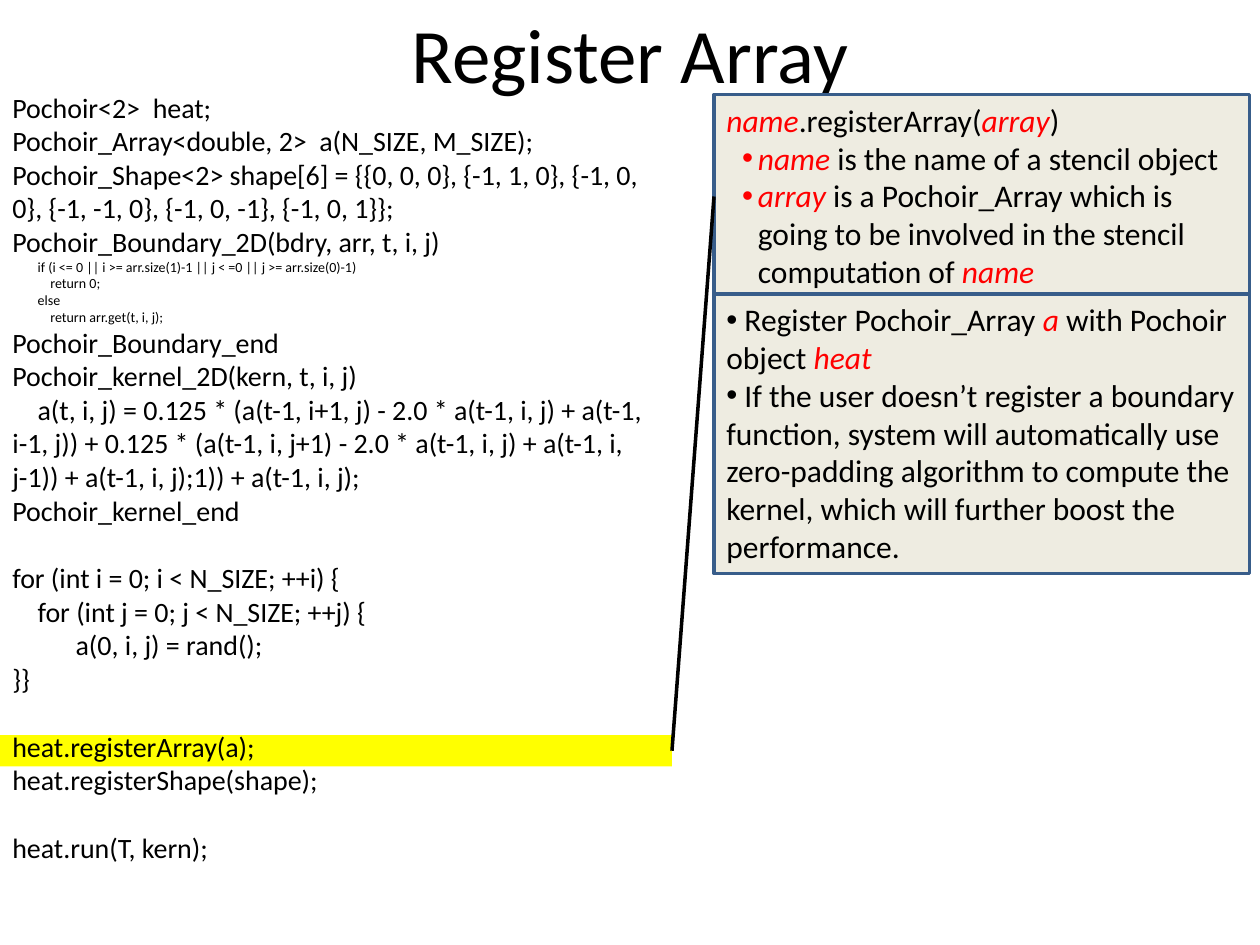
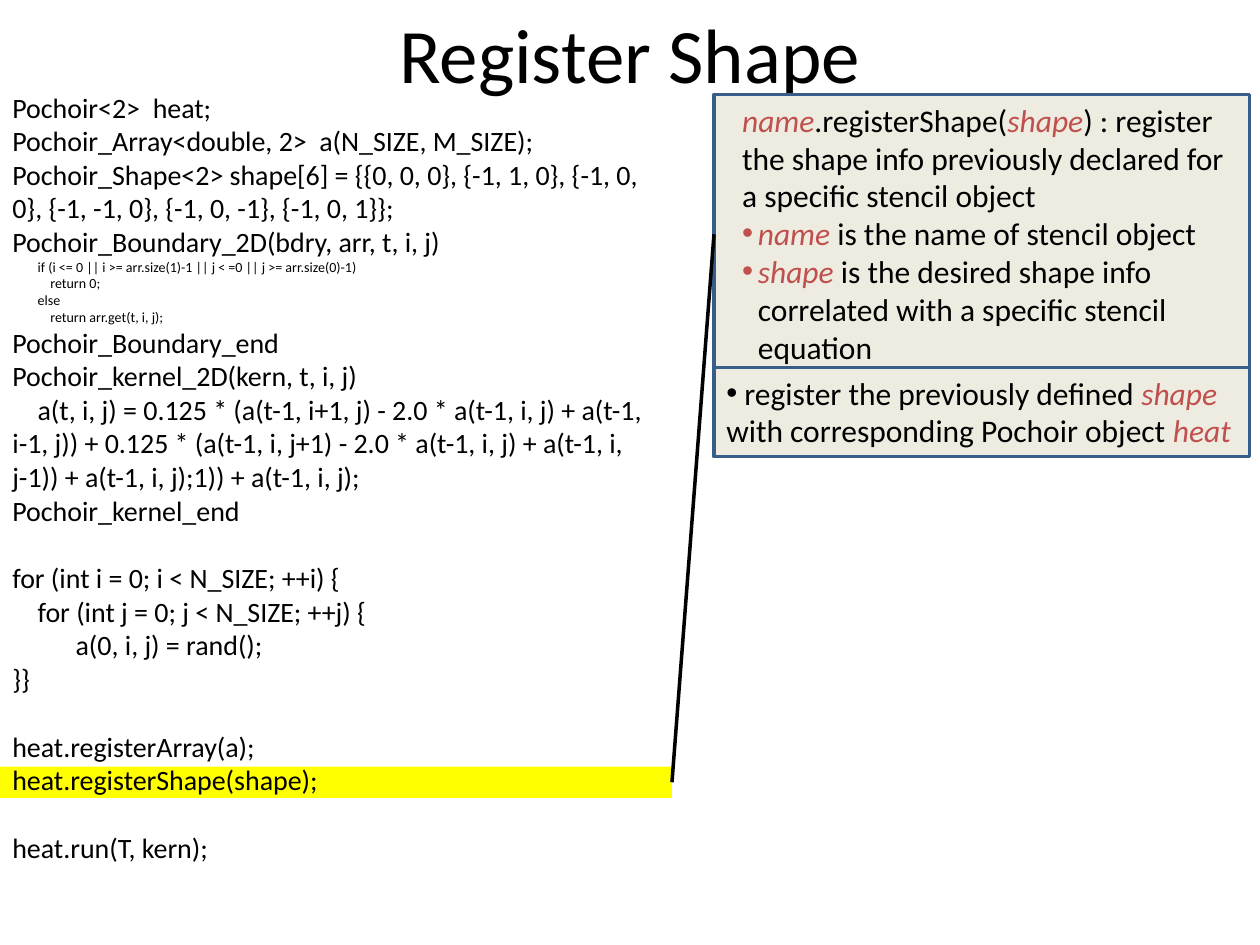
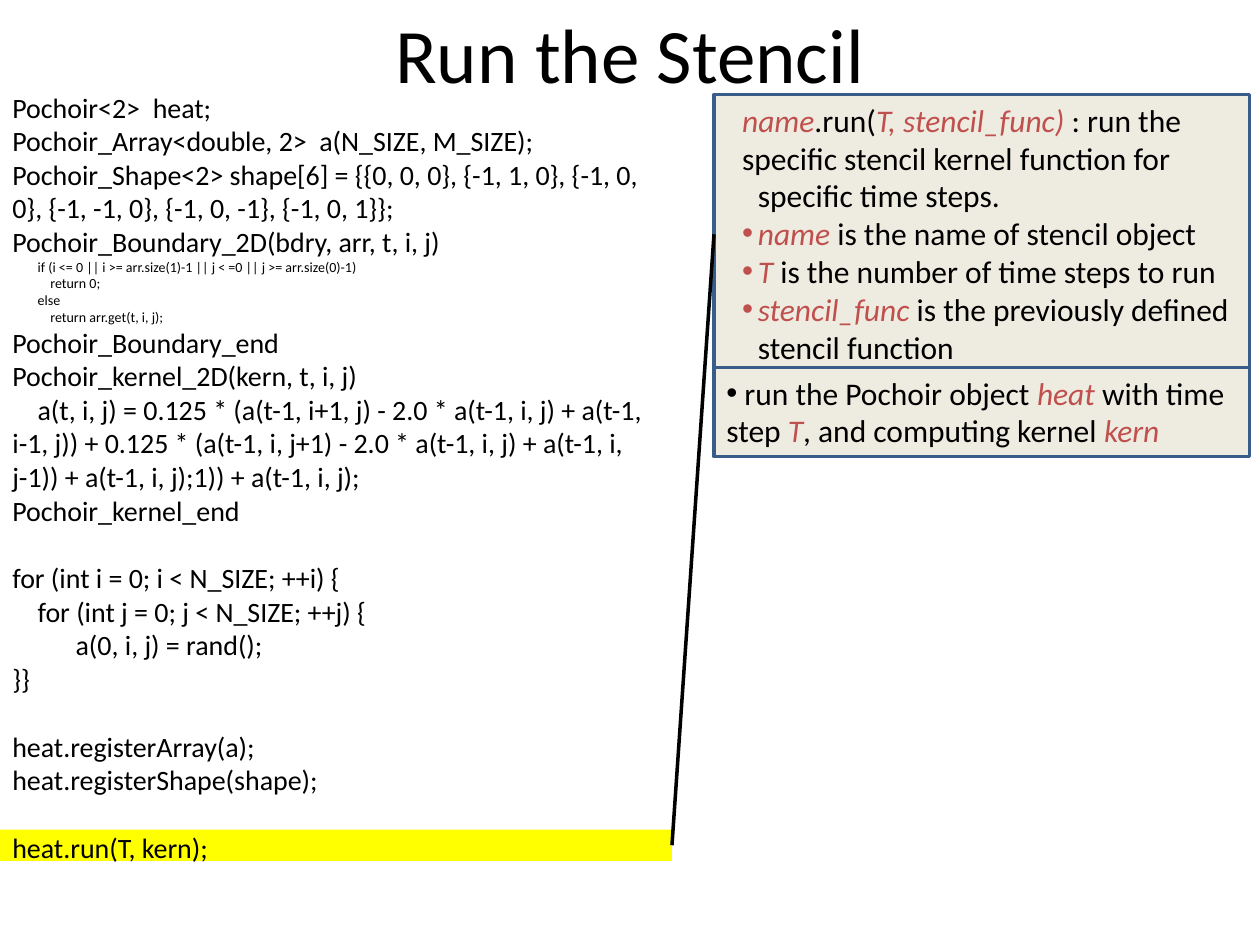
from lxml.etree import SubElement
from pptx import Presentation
from pptx.dml.color import RGBColor
from pptx.enum.shapes import MSO_CONNECTOR, MSO_SHAPE
from pptx.enum.text import MSO_ANCHOR, MSO_AUTO_SIZE, PP_ALIGN
from pptx.oxml.ns import qn
from pptx.util import Pt

FONT = "Calibri"
BLACK, RED, BRICK = "000000", "FF0000", "C0504D"
YELLOW, CREAM, NAVY = "FFFF00", "EEECE1", "385D8A"

CODE_SIZE, SMALL_SIZE, NOTE_SIZE, TITLE_SIZE = 16, 8, 18, 44
SPACE_WIDTH = 0.226  # width of a Calibri space, in ems
CODE_LINE = 19.5
BAND_WIDTH, BAND_HEIGHT = 384, 18
FIRST_CALL_TOP = 420
NOTE_LEFT, NOTE_TOP, NOTE_WIDTH = 408, 54, 306

# Left margin and first-line indent of each note style, its level and bullet
NOTE_STYLES = {
    "plain": (0, 0, 0, False),
    "hanging": (18, -9, 1, False),
    "subpoint": (18, -9, 1, True),
    "point": (0, 0, 0, True),
}

# Text, font size, indent in spaces, blank lines above
CODE = [
    ("Pochoir<2>  heat;", CODE_SIZE, 0, 0),
    ("Pochoir_Array<double, 2>  a(N_SIZE, M_SIZE);", CODE_SIZE, 0, 0),
    ("Pochoir_Shape<2> shape[6] = {{0, 0, 0}, {-1, 1, 0}, {-1, 0, 0}, "
     "{-1, -1, 0}, {-1, 0, -1}, {-1, 0, 1}};", CODE_SIZE, 0, 0),
    ("Pochoir_Boundary_2D(bdry, arr, t, i, j)", CODE_SIZE, 0, 0),
    ("if (i <= 0 || i >= arr.size(1)-1 || j < =0 || j >= arr.size(0)-1)", SMALL_SIZE, 8, 0),
    ("return 0;", SMALL_SIZE, 12, 0),
    ("else", SMALL_SIZE, 8, 0),
    ("return arr.get(t, i, j);", SMALL_SIZE, 12, 0),
    ("Pochoir_Boundary_end", CODE_SIZE, 0, 0),
    ("Pochoir_kernel_2D(kern, t, i, j)", CODE_SIZE, 0, 0),
    ("a(t, i, j) = 0.125 * (a(t-1, i+1, j) - 2.0 * a(t-1, i, j) + a(t-1, i-1, j)) "
     "+ 0.125 * (a(t-1, i, j+1) - 2.0 * a(t-1, i, j) + a(t-1, i, j-1)) "
     "+ a(t-1, i, j);1)) + a(t-1, i, j);", CODE_SIZE, 4, 0),
    ("Pochoir_kernel_end", CODE_SIZE, 0, 0),
    ("for (int i = 0; i < N_SIZE; ++i) {", CODE_SIZE, 0, 1),
    ("for (int j = 0; j < N_SIZE; ++j) {", CODE_SIZE, 4, 0),
    ("a(0, i, j) = rand();", CODE_SIZE, 10, 0),
    ("}}", CODE_SIZE, 0, 0),
    ("heat.registerArray(a);", CODE_SIZE, 0, 1),
    ("heat.registerShape(shape);", CODE_SIZE, 0, 0),
    ("heat.run(T, kern);", CODE_SIZE, 0, 1),
]

# Asterisks enclose the accented words of a note
SLIDES = [
    {
        "title": "Register Array", "call_line": 0, "accent": RED,
        "syntax_height": 116.6, "usage_top": 168, "usage_height": 159.8,
        "syntax": [
            ("plain", "*name*.registerArray(*array*)"),
            ("subpoint", "*name *is the name of a stencil object"),
            ("subpoint", "*array *is a Pochoir_Array which is going to be involved "
                         "in the stencil computation of *name*"),
        ],
        "usage": [
            ("point", " Register Pochoir_Array *a* with Pochoir object *heat*"),
            ("point", " If the user doesn’t register a boundary function, system will "
                      "automatically use zero-padding algorithm to compute the kernel, "
                      "which will further boost the performance."),
        ],
    },
    {
        "title": "Register Shape", "call_line": 1, "accent": BRICK,
        "syntax_height": 159.8, "usage_top": 210, "usage_height": 51,
        "syntax": [
            ("hanging", "*name*.registerShape(*shape*) : register"),
            ("hanging", "the shape info previously declared for"),
            ("hanging", "a specific stencil object"),
            ("subpoint", "*name* is the name of stencil object"),
            ("subpoint", "*shape* is the desired shape info correlated with "
                         "a specific stencil equation"),
        ],
        "usage": [
            ("point", " register the previously defined *shape* with corresponding "
                      "Pochoir object *heat*"),
        ],
    },
    {
        "title": "Run the Stencil", "call_line": 3, "accent": BRICK,
        "syntax_height": 159.8, "usage_top": 210, "usage_height": 51,
        "syntax": [
            ("hanging", "*name*.run(*T, stencil_func)* : run the"),
            ("hanging", "specific stencil kernel function for specific time steps."),
            ("subpoint", "*name* is the name of stencil object"),
            ("subpoint", "*T *is the number of time steps to run"),
            ("subpoint", "*stencil_func* is the previously defined stencil function"),
        ],
        "usage": [
            ("point", " run the Pochoir object *heat *with time step *T*, "
                      "and computing kernel *kern*"),
        ],
    },
]


def color(hex_string):
    return RGBColor.from_string(hex_string)


def set_format(target, values):
    for name, value in values.items():
        setattr(target, name, value)


def add_run(paragraph, text, size, hex_color=BLACK, italic=False):
    run = paragraph.add_run()
    run.text = text
    set_format(run.font, {"name": FONT, "size": Pt(size), "italic": italic})
    run.font.color.rgb = color(hex_color)


def set_indent(paragraph, left, first_line):
    properties = paragraph._p.get_or_add_pPr()
    properties.set("marL", str(Pt(left)))
    properties.set("indent", str(Pt(first_line)))
    return properties


def paragraphs_for(frame, items):
    """Pair each item with a paragraph, starting with the frame's first one."""
    for index, item in enumerate(items):
        yield (frame.add_paragraph() if index else frame.paragraphs[0]), item


def add_rectangle(slide, left, top, width, height, fill, outline=None):
    shape = slide.shapes.add_shape(
        MSO_SHAPE.RECTANGLE, Pt(left), Pt(top), Pt(width), Pt(height))
    shape.shadow.inherit = False
    shape.fill.solid()
    shape.fill.fore_color.rgb = color(fill)
    if outline:
        shape.line.color.rgb = color(outline)
        shape.line.width = Pt(2)
    else:
        shape.line.fill.background()
    return shape


def add_title(slide, text):
    title = slide.shapes.title
    set_format(title, {"left": Pt(36), "top": Pt(0), "width": Pt(648), "height": Pt(60)})
    title.text_frame.vertical_anchor = MSO_ANCHOR.MIDDLE
    paragraph = title.text_frame.paragraphs[0]
    paragraph.alignment = PP_ALIGN.CENTER
    add_run(paragraph, text, TITLE_SIZE)


def add_code(slide):
    frame = slide.shapes.add_textbox(Pt(0), Pt(48), Pt(390), Pt(453)).text_frame
    set_format(frame, {"word_wrap": True, "auto_size": MSO_AUTO_SIZE.SHAPE_TO_FIT_TEXT})
    for paragraph, (text, size, spaces, blank_lines) in paragraphs_for(frame, CODE):
        set_indent(paragraph, 0, spaces * size * SPACE_WIDTH)
        paragraph.space_before = Pt(blank_lines * CODE_LINE)
        add_run(paragraph, text, size)


def add_note(slide, top, height, notes, accent):
    shape = add_rectangle(slide, NOTE_LEFT, top, NOTE_WIDTH, height, CREAM, NAVY)
    frame = shape.text_frame
    set_format(frame, {"word_wrap": True, "vertical_anchor": MSO_ANCHOR.TOP,
                       "auto_size": MSO_AUTO_SIZE.SHAPE_TO_FIT_TEXT})
    for paragraph, (style, text) in paragraphs_for(frame, notes):
        left, first_line, level, has_bullet = NOTE_STYLES[style]
        set_format(paragraph, {"alignment": PP_ALIGN.LEFT, "level": level})
        properties = set_indent(paragraph, left, first_line)
        if has_bullet:
            SubElement(properties, qn("a:buFont"), typeface="Arial")
            SubElement(properties, qn("a:buChar"), char="•")
        for index, part in enumerate(text.split("*")):
            accented = index % 2 == 1
            if part:
                add_run(paragraph, part, NOTE_SIZE, accent if accented else BLACK, accented)


def add_line(slide, start, end):
    line = slide.shapes.add_connector(
        MSO_CONNECTOR.STRAIGHT, *(Pt(length) for length in start + end))
    line.line.color.rgb = color(BLACK)
    line.line.width = Pt(2)
    SubElement(line._element.spPr, qn("a:effectLst"))


def add_stencil_slide(presentation, content):
    slide = presentation.slides.add_slide(presentation.slide_layouts[5])
    band_top = FIRST_CALL_TOP + content["call_line"] * BAND_HEIGHT
    add_title(slide, content["title"])
    add_rectangle(slide, 0, band_top, BAND_WIDTH, BAND_HEIGHT, YELLOW)
    add_code(slide)
    add_note(slide, NOTE_TOP, content["syntax_height"], content["syntax"], content["accent"])
    add_line(slide, (BAND_WIDTH, band_top + BAND_HEIGHT / 2),
             (NOTE_LEFT, NOTE_TOP + content["syntax_height"] / 2))
    add_note(slide, content["usage_top"], content["usage_height"], content["usage"],
             content["accent"])


def main():
    presentation = Presentation()
    set_format(presentation, {"slide_width": Pt(720), "slide_height": Pt(540)})
    for content in SLIDES:
        add_stencil_slide(presentation, content)
    presentation.save("out.pptx")


if __name__ == "__main__":
    main()
